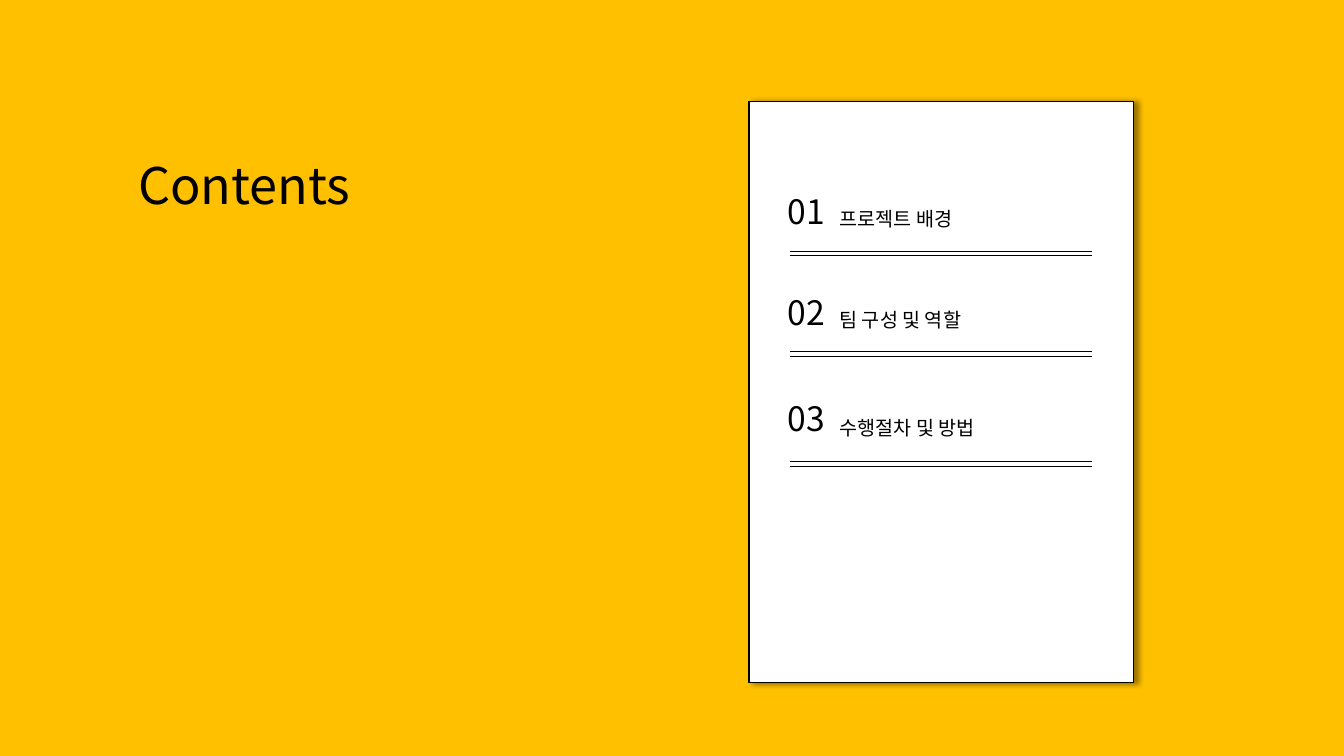
import pptx
import pptx.dml.color
import pptx.enum.shapes
import pptx.enum.text
import pptx.oxml
import pptx.oxml.ns
import pptx.util

Pt = pptx.util.Pt
RGBColor = pptx.dml.color.RGBColor

YELLOW = RGBColor(0xFF, 0xC0, 0x00)
WHITE = RGBColor(0xFF, 0xFF, 0xFF)
BLACK = RGBColor(0x00, 0x00, 0x00)
FONT = "Noto Sans CJK KR"

NUMBER_LEFT = 555.8
LABEL_LEFT = 592.6
RULE_LEFT = 564.5
RULE_RIGHT = 779.8
RULE_GAP = 3.4

ENTRIES = [
    ("01", "프로젝트 배경", 132.5, 144, 179.3),
    ("02", "팀 구성 및 역할", 205.2, 216.7, 251.3),
    ("03", "수행절차 및 방법", 280.8, 293.8, 329.8),
]


def write_text(box, text, size):
    frame = box.text_frame
    frame.word_wrap = True
    frame.auto_size = pptx.enum.text.MSO_AUTO_SIZE.NONE
    frame.vertical_anchor = pptx.enum.text.MSO_ANCHOR.TOP
    para = frame.paragraphs[0]
    para.alignment = pptx.enum.text.PP_ALIGN.LEFT
    span = para.add_run()
    span.text = text
    span.font.size = Pt(size)
    span.font.name = FONT
    span.font.color.rgb = BLACK
    east_asian = pptx.oxml.parse_xml(
        f'<a:ea {pptx.oxml.ns.nsdecls("a")} typeface="{FONT}"/>'
    )
    span.font._element.append(east_asian)


def add_title(page, text):
    title = page.shapes.title
    title.left, title.top = Pt(91.4), Pt(106.6)
    title.width, title.height = Pt(188), Pt(51)
    write_text(title, text, 36)


def add_label(page, text, left, top, width, height, size):
    box = page.shapes.add_textbox(Pt(left), Pt(top), Pt(width), Pt(height))
    write_text(box, text, size)


def add_card(page):
    card = page.shapes.add_shape(
        pptx.enum.shapes.MSO_SHAPE.RECTANGLE, Pt(535), Pt(72.7), Pt(274.5), Pt(414.8)
    )
    card.fill.solid()
    card.fill.fore_color.rgb = WHITE
    card.line.color.rgb = BLACK
    card.line.width = Pt(1)
    shadow = pptx.oxml.parse_xml(
        f'<a:effectLst {pptx.oxml.ns.nsdecls("a")}>'
        f'<a:outerShdw blurRad="{Pt(4)}" dist="{Pt(3)}" dir="0" algn="l" rotWithShape="0">'
        f'<a:srgbClr val="{BLACK}"><a:alpha val="40000"/></a:srgbClr>'
        "</a:outerShdw></a:effectLst>"
    )
    card._element.spPr.append(shadow)


def add_rule(page, top):
    rule = page.shapes.add_connector(
        pptx.enum.shapes.MSO_CONNECTOR.STRAIGHT,
        Pt(RULE_LEFT), Pt(top), Pt(RULE_RIGHT), Pt(top),
    )
    rule.line.color.rgb = BLACK
    rule.line.width = Pt(0.5)
    rule._element.spPr.append(
        pptx.oxml.parse_xml(f'<a:effectLst {pptx.oxml.ns.nsdecls("a")}/>')
    )


def add_entry(page, number, label, number_top, label_top, rule_top):
    add_label(page, label, LABEL_LEFT, label_top, 262, 24.5, 14)
    add_label(page, number, NUMBER_LEFT, number_top, 52.6, 36, 24)
    for top in (rule_top, rule_top + RULE_GAP):
        add_rule(page, top)


def main():
    deck = pptx.Presentation()
    deck.slide_width, deck.slide_height = Pt(960), Pt(540)
    page = deck.slides.add_slide(deck.slide_layouts.get_by_name("Title Only"))
    page.background.fill.solid()
    page.background.fill.fore_color.rgb = YELLOW
    add_title(page, "Contents")
    add_card(page)
    for entry in ENTRIES:
        add_entry(page, *entry)
    deck.save("out.pptx")


if __name__ == "__main__":
    main()
